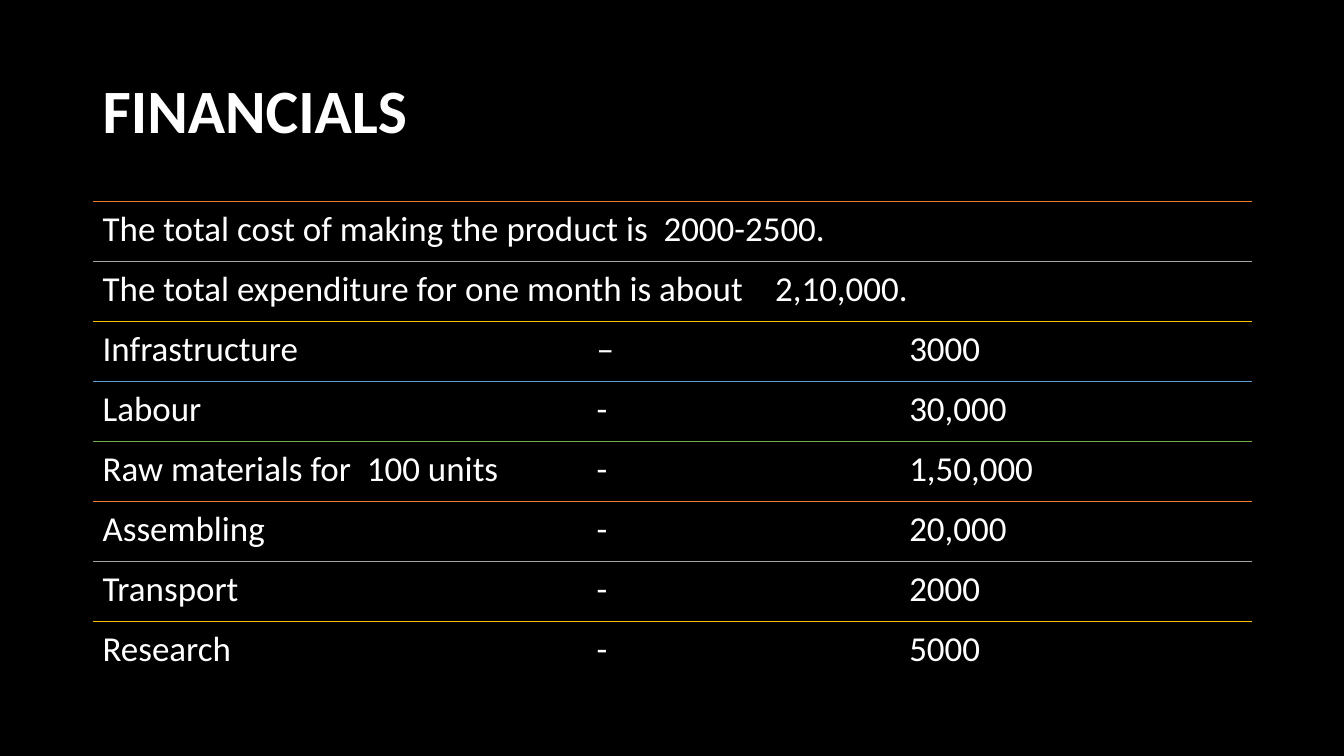
from dataclasses import dataclass

from lxml.etree import SubElement
from pptx import Presentation
from pptx.dml.color import RGBColor as RGB
from pptx.enum.shapes import MSO_CONNECTOR as Connector
from pptx.enum.text import MSO_ANCHOR as Anchor
from pptx.oxml.ns import qn
from pptx.slide import Slide
from pptx.util import Inches, Pt


@dataclass(frozen=True)
class Theme:
    font: str = "Calibri"
    background: str = "000000"
    text: str = "FFFFFF"
    accents: tuple[str, ...] = ("ED7D31", "A5A5A5", "FFC000", "5B9BD5", "70AD47")
    title_size: int = 44
    row_size: int = 25


@dataclass(frozen=True)
class Row:
    text: str
    tabs: tuple[float, ...] = ()


THEME = Theme()
LEFT, WIDTH = 0.92, 11.5
ROWS_TOP, ROW_HEIGHT = 2.0, 0.595
COST_TABS = (4.9, 8.0)  # dash and amount columns

ROWS = [
    Row("The total cost of making the product is  2000-2500."),
    Row("The total expenditure for one month is about\t2,10,000.", (6.67,)),
    Row("Infrastructure\t–\t3000", COST_TABS),
    Row("Labour\t-\t30,000", COST_TABS),
    Row("Raw materials for  100 units\t-\t1,50,000", COST_TABS),
    Row("Assembling\t-\t20,000", COST_TABS),
    Row("Transport\t-\t2000", COST_TABS),
    Row("Research\t-\t5000", COST_TABS),
]


def add_text(slide: Slide, row: Row, top: float, height: float, size: int,
             bold: bool = False, anchor: Anchor = Anchor.TOP) -> None:
    sp = slide.shapes.add_textbox(Inches(LEFT), Inches(top), Inches(WIDTH), Inches(height))
    tf = sp.text_frame
    tf.word_wrap = True
    tf.vertical_anchor = anchor
    tf.margin_left = tf.margin_right = tf.margin_top = tf.margin_bottom = Inches(0.1)
    p = tf.paragraphs[0]
    p.text = row.text
    p.line_spacing = 0.9
    for r in p.runs:
        r.font.name = THEME.font
        r.font.size = Pt(size)
        r.font.bold = bold
        r.font.color.rgb = RGB.from_string(THEME.text)
    if row.tabs:
        tab_list = SubElement(p._p.get_or_add_pPr(), qn("a:tabLst"))
        for pos in row.tabs:
            SubElement(tab_list, qn("a:tab"), pos=str(Inches(pos)), algn="l")


def add_rule(slide: Slide, top: float, color: str) -> None:
    line = slide.shapes.add_connector(Connector.STRAIGHT, Inches(LEFT), Inches(top),
                                      Inches(LEFT + WIDTH), Inches(top))
    line.line.color.rgb = RGB.from_string(color)
    line.line.width = Pt(1)
    SubElement(line._element.spPr, qn("a:effectLst"))


def main() -> None:
    prs = Presentation()
    prs.slide_width, prs.slide_height = Inches(13.33), Inches(7.5)
    slide = prs.slides.add_slide(prs.slide_layouts[6])
    fill = slide.background.fill
    fill.solid()
    fill.fore_color.rgb = RGB.from_string(THEME.background)

    # Title
    add_text(slide, Row("FINANCIALS"), 0.4, 1.45, THEME.title_size, True, Anchor.MIDDLE)

    # Ruled rows, cycling through the accents
    for i, row in enumerate(ROWS):
        top = ROWS_TOP + i * ROW_HEIGHT
        add_rule(slide, top, THEME.accents[i % len(THEME.accents)])
        add_text(slide, row, top, ROW_HEIGHT, THEME.row_size)

    prs.save("out.pptx")


if __name__ == "__main__":
    main()
